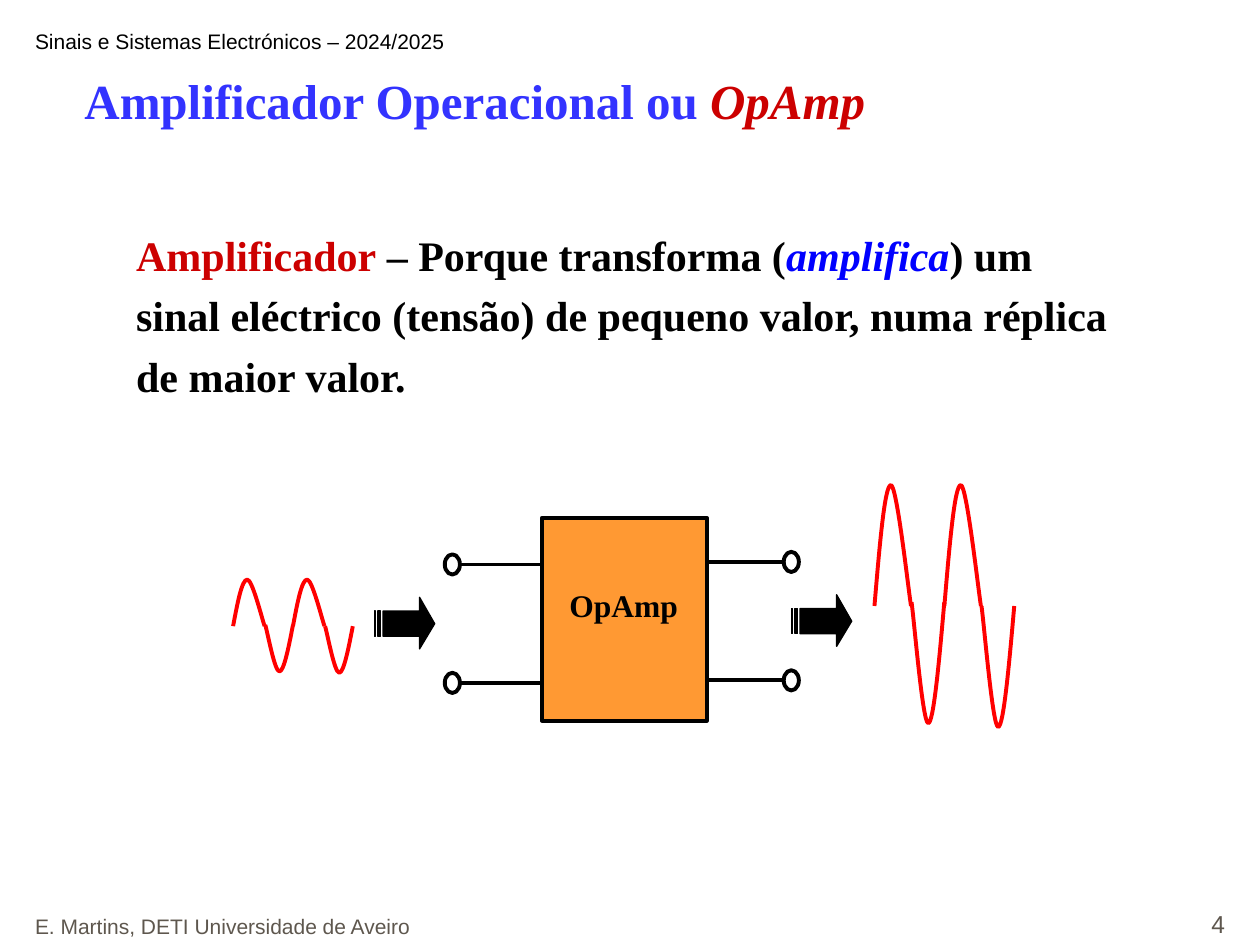
from lxml.etree import SubElement
from pptx import Presentation
from pptx.dml.color import RGBColor
from pptx.enum.shapes import MSO_CONNECTOR, MSO_SHAPE
from pptx.enum.text import MSO_ANCHOR, MSO_AUTO_SIZE, PP_ALIGN
from pptx.oxml.ns import qn
from pptx.util import Inches, Pt

COLORS = {"black": "000000", "title": "3333FF", "key": "CC0000", "accent": "0000FF",
          "wave": "FF0000", "amplifier": "FF9933", "footer": "5E574E"}
SERIF, SANS = "Times New Roman", "Arial"

# Each run: words, colour, font format
TITLE = [("Amplificador Operacional ou ", "title", {"bold": True}),
         ("OpAmp", "key", {"bold": True, "italic": True})]
DEFINITION = [
    ("Amplificador", "key", {"bold": True}),
    (" – Porque transforma (", "black", {"bold": True}),
    ("amplifica", "accent", {"bold": True, "italic": True}),
    (") um sinal eléctrico (tensão) de pequeno valor, numa réplica de maior valor.",
     "black", {"bold": True})]
HEADER = [("Sinais e Sistemas Electrónicos – 2024/2025", "black", {})]
AMPLIFIER_LABEL = [("OpAmp", "black", {"bold": True})]
PAGE_NUMBER = [("4", "footer", {})]
AUTHOR = [("E. Martins, DETI Universidade de Aveiro", "footer", {})]

# Diagram, in inches
AMPLIFIER = (4.3, 4.11, 1.31, 1.61)
TERMINAL_W, TERMINAL_H = 0.12, 0.16
LEAD_GAP = 0.94                       # between the two leads of one side
LEADS = [(4.35, 3.65, 4.48, -1), (5.53, 6.22, 4.46, 1)]  # inner x, outer x, top y, side
ARROWS = [(2.97, 4.74), (6.28, 4.72)]
SHAFT_TOP, SHAFT_BOTTOM = 0.11, 0.31
ARROW_BODY = [(0.07, SHAFT_TOP), (0.36, SHAFT_TOP), (0.36, 0), (0.48, 0.21),
              (0.36, 0.41), (0.36, SHAFT_BOTTOM), (0.07, SHAFT_BOTTOM)]
ARROW_STRIPES = [(0, 0.01), (0.03, 0.05)]
WAVES = [
    {"left": 1.85, "base": 4.97, "dips": (4.96, 4.97), "period": 0.475,
     "crest": 0.25, "dip": 0.22, "height": 0.37},
    {"left": 6.94, "base": 4.81, "dips": (4.78, 4.81), "period": 0.555,
     "crest": 0.29, "dip": 0.26, "height": 0.96}]
# Half a wave as two Bézier pieces, in shares of its width and height
CREST_X = (0, 0.14, 0.28, 0.45, 0.61, 0.91, 1)
DIP_X = (0, 0.16, 0.33, 0.49, 0.66, 0.91, 1)
HALF_WAVE_Y = (0, 0.5, 1, 1, 1, 0.18, 0)


def color(name):
    return RGBColor.from_string(COLORS[name])


def write(shape, box, runs, size, font, anchor=MSO_ANCHOR.TOP,
          align=PP_ALIGN.LEFT, spacing=1.0):
    shape.left, shape.top, shape.width, shape.height = map(Inches, box)
    frame = shape.text_frame
    frame_format = {"word_wrap": True, "auto_size": MSO_AUTO_SIZE.NONE,
                    "vertical_anchor": anchor}
    for key, value in frame_format.items():
        setattr(frame, key, value)
    paragraph = frame.paragraphs[0]
    paragraph_format = {"alignment": align, "line_spacing": spacing,
                        "space_before": Pt(0)}
    for key, value in paragraph_format.items():
        setattr(paragraph, key, value)
    for words, color_name, extra in runs:
        run = paragraph.add_run()
        run.text = words
        for key, value in {"size": Pt(size), "name": font, **extra}.items():
            setattr(run.font, key, value)
        run.font.color.rgb = color(color_name)
    return paragraph


def paint(shape, fill=None, line="black", width=2.25):
    shape.shadow.inherit = False
    if fill:
        shape.fill.solid()
        shape.fill.fore_color.rgb = color(fill)
    else:
        shape.fill.background()
    shape.line.color.rgb = color(line)
    shape.line.width = Pt(width)


def add_lead(shapes, inner, outer, y, side):
    """A wire out of the amplifier and the round terminal at its end."""
    wire = shapes.add_connector(MSO_CONNECTOR.STRAIGHT,
                                *map(Inches, (inner, y, outer, y)))
    wire.line.color.rgb = color("black")
    wire.line.width = Pt(2.25)
    SubElement(wire._element.spPr, qn("a:effectLst"))
    center = outer + side * TERMINAL_W / 2
    paint(shapes.add_shape(MSO_SHAPE.OVAL, *map(Inches, (
        center - TERMINAL_W / 2, y - TERMINAL_H / 2, TERMINAL_W, TERMINAL_H))))


def add_striped_arrow(shapes, left, top):
    stripes = [[(start, SHAFT_TOP), (end, SHAFT_TOP),
                (end, SHAFT_BOTTOM), (start, SHAFT_BOTTOM)]
               for start, end in ARROW_STRIPES]
    body, *rest = [[(Inches(left + x), Inches(top + y)) for x, y in outline]
                   for outline in [ARROW_BODY, *stripes]]
    builder = shapes.build_freeform(*body[0])
    builder.add_line_segments(body[1:], close=True)
    for stripe in rest:
        builder.move_to(*stripe[0])
        builder.add_line_segments(stripe[1:], close=True)
    paint(builder.convert_to_shape(), "black", width=0.75)


def add_half_wave(shapes, x, base, width, height, shares):
    """Negative width runs leftwards, negative height goes below the base."""
    points = [(Inches(x + width * u), Inches(base - height * v))
              for u, v in zip(shares, HALF_WAVE_Y)]
    builder = shapes.build_freeform(*points[0])
    builder.add_line_segments(points[1:], close=False)
    curve = builder.convert_to_shape()
    outline = next(curve._element.iter(qn("a:path")))
    segments = outline.findall(qn("a:lnTo"))
    for first in range(0, len(segments), 3):
        bezier = SubElement(outline, qn("a:cubicBezTo"))
        for segment in segments[first:first + 3]:
            bezier.append(segment[0])
            outline.remove(segment)
    paint(curve, line="wave")


def main():
    prs = Presentation()
    prs.slide_width, prs.slide_height = Inches(10), Inches(7.5)
    slide = prs.slides.add_slide(prs.slide_layouts[1])
    shapes = slide.shapes

    def add_text(box, *args, **options):
        write(shapes.add_textbox(0, 0, 0, 0), box, *args, **options)

    add_text((0.18, 0.18, 9.17, 0.5), HEADER, 12, SANS)
    write(shapes.title, (0.57, 0.51, 8.53, 0.81), TITLE, 28, SERIF)
    definition = write(slide.placeholders[1], (0.98, 1.69, 7.96, 1.54),
                       DEFINITION, 24, SERIF, spacing=1.2)
    properties = definition._p.get_or_add_pPr()
    properties.set("marL", "0")
    properties.set("indent", "0")
    SubElement(properties, qn("a:buNone"))

    for wave in WAVES:
        for cycle, dip_base in enumerate(wave["dips"]):
            start = wave["left"] + cycle * wave["period"]
            add_half_wave(shapes, start, wave["base"],
                          wave["crest"], wave["height"], CREST_X)
            add_half_wave(shapes, start + wave["period"], dip_base,
                          -wave["dip"], -wave["height"], DIP_X)
    for inner, outer, top, side in LEADS:
        for y in (top, top + LEAD_GAP):
            add_lead(shapes, inner, outer, y, side)
    paint(shapes.add_shape(MSO_SHAPE.RECTANGLE, *map(Inches, AMPLIFIER)), "amplifier")
    for place in ARROWS:
        add_striped_arrow(shapes, *place)

    add_text((4.15, 4.6, 1.6, 0.4), AMPLIFIER_LABEL, 18, SERIF, align=PP_ALIGN.CENTER)
    add_text((7.74, 7, 2.08, 0.5), PAGE_NUMBER, 14, SANS,
             anchor=MSO_ANCHOR.BOTTOM, align=PP_ALIGN.RIGHT)
    add_text((0.18, 7, 5.24, 0.5), AUTHOR, 12, SANS, anchor=MSO_ANCHOR.BOTTOM)
    prs.save("out.pptx")


if __name__ == "__main__":
    main()
